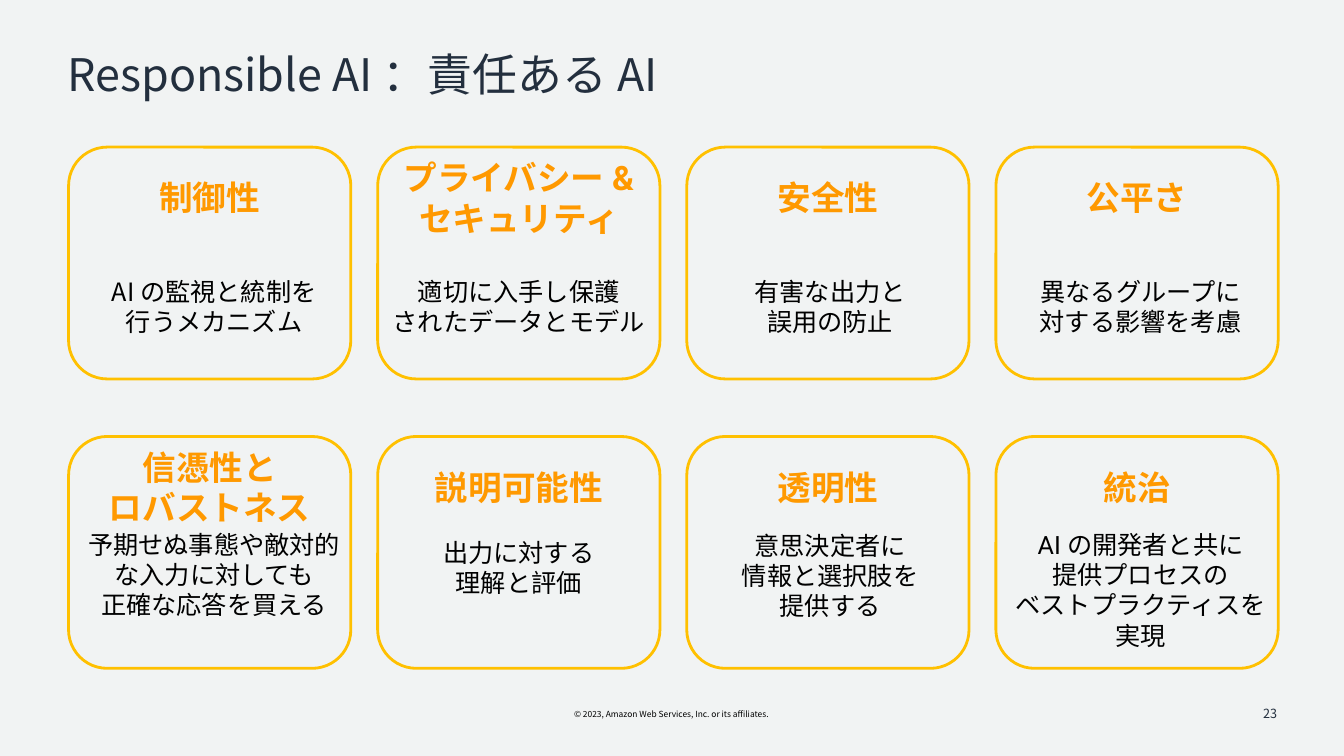
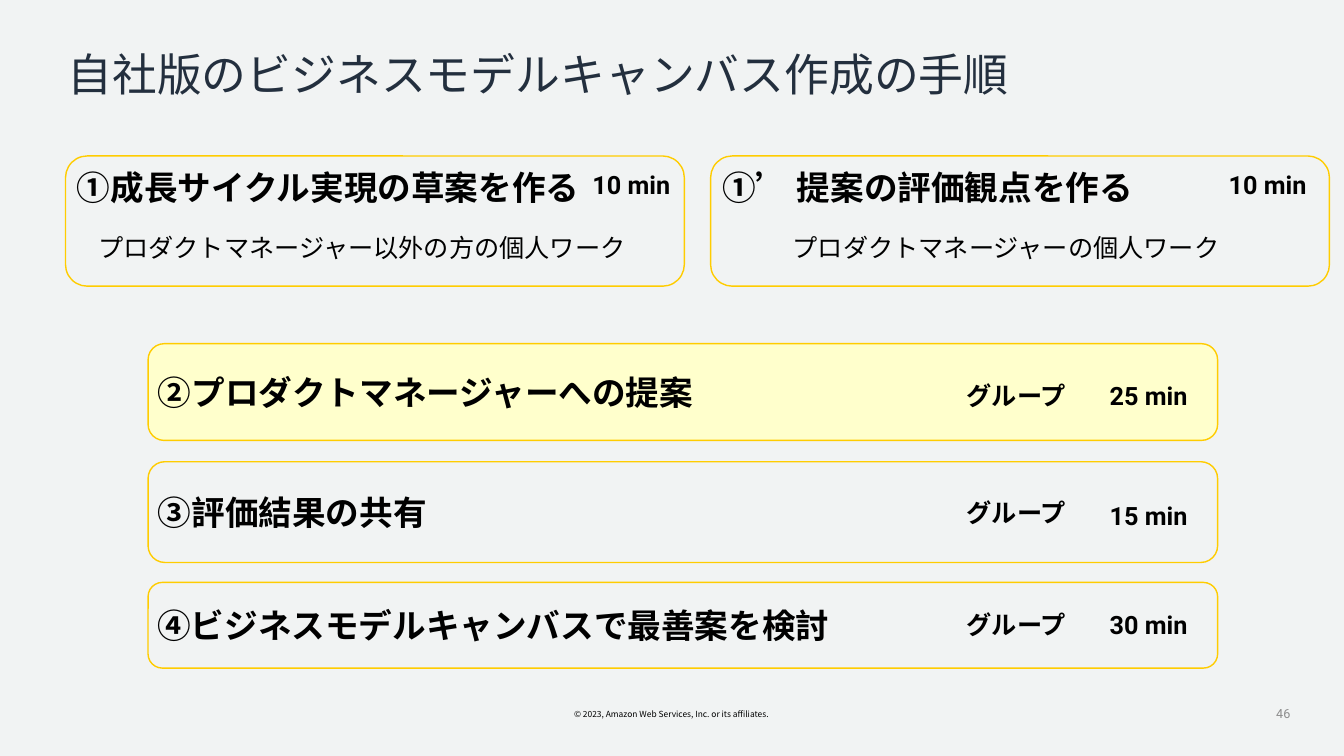
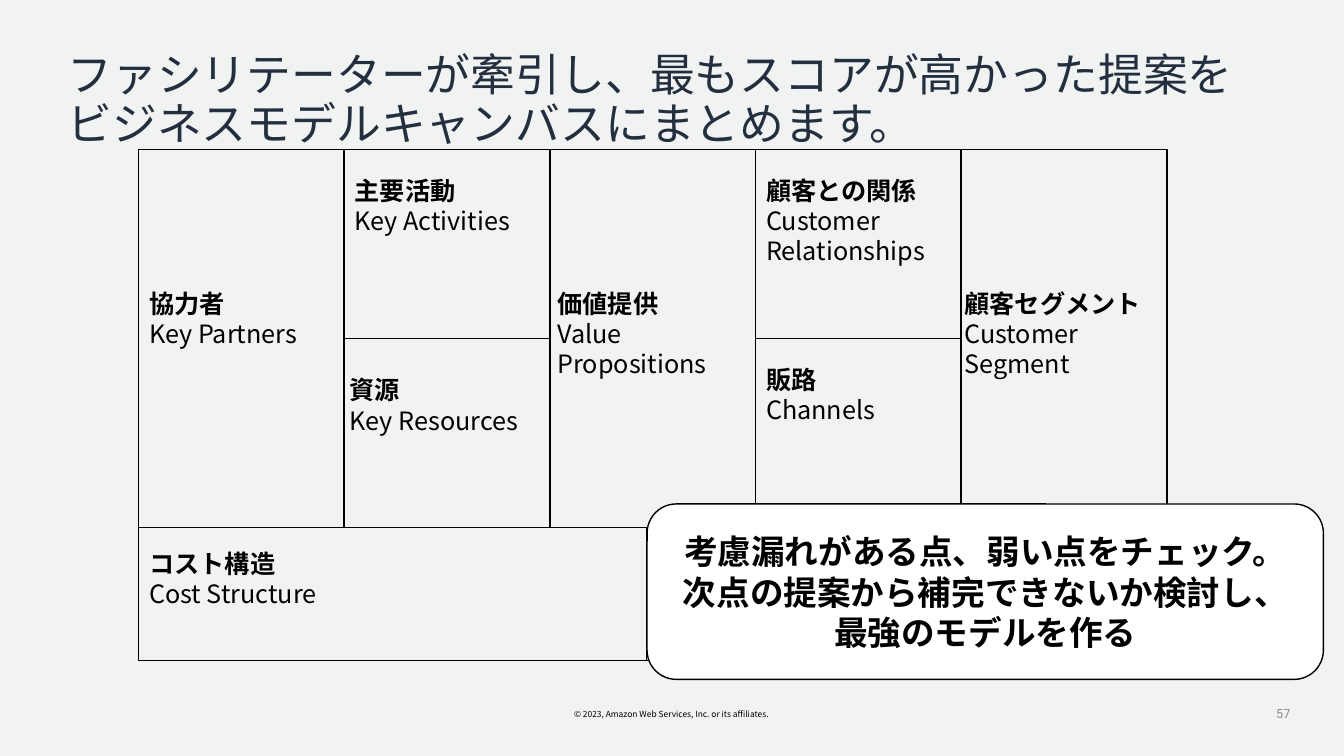
from dataclasses import dataclass
from itertools import product
from typing import Optional

from lxml import etree
from pptx import Presentation
from pptx.dml.color import RGBColor
from pptx.enum.shapes import MSO_SHAPE
from pptx.enum.text import MSO_ANCHOR, MSO_AUTO_SIZE, PP_ALIGN
from pptx.oxml.ns import qn
from pptx.util import Pt

LEFT, CENTER, RIGHT = PP_ALIGN.LEFT, PP_ALIGN.CENTER, PP_ALIGN.RIGHT
TOP, MIDDLE = MSO_ANCHOR.TOP, MSO_ANCHOR.MIDDLE
RECT, ROUND = MSO_SHAPE.RECTANGLE, MSO_SHAPE.ROUNDED_RECTANGLE

NOTO = "Noto Sans CJK JP"
ROBOTO = "Roboto"
COLORS = {
    "paper": "F1F3F3",
    "navy": "232F3E",
    "black": "000000",
    "white": "FFFFFF",
    "gray": "8C8C8C",
    "orange": "FF9900",
    "amber": "FFC000",
    "yellow": "FFCC00",
    "cream": "FFFFCC",
}
COPYRIGHT = "© 2023, Amazon Web Services, Inc. or its affiliates."


@dataclass(frozen=True)
class Box:
    x: float
    y: float
    w: float
    h: float

    def lengths(self) -> tuple:
        return Pt(self.x), Pt(self.y), Pt(self.w), Pt(self.h)


@dataclass(frozen=True)
class Style:
    size: float = 18
    color: str = "black"
    bold: bool = False
    align: PP_ALIGN = LEFT
    anchor: MSO_ANCHOR = TOP
    font: str = NOTO
    inset_x: float = 0
    inset_y: float = 3.6
    leading: float = 1.2
    wrap: bool = True
    bold_lead: bool = False


TITLE = Style(32, "navy", leading=1.09)
FOOTER = Style(6, align=CENTER, inset_x=7.2, wrap=False)
PAGE_DARK = Style(9, "navy", align=RIGHT, anchor=MIDDLE, inset_x=7.2)
PAGE_GRAY = Style(9, "gray", align=RIGHT, anchor=MIDDLE, inset_x=7.2, font=ROBOTO)
HEADING = Style(24, "orange", True, CENTER, MIDDLE, ROBOTO, inset_y=0)
BODY = Style(align=CENTER)
BODY_ROBOTO = Style(align=CENTER, font=ROBOTO)
STEP_TOP = Style(24, bold=True, inset_x=3.6)
STEP = Style(24, bold=True, anchor=MIDDLE, inset_x=3.6)
GROUP = Style(bold=True, align=CENTER)
TIME = Style(bold=True, align=CENTER, font=ROBOTO)
BLOCK = Style(bold_lead=True)
CALLOUT = Style(24, bold=True, align=CENTER, anchor=MIDDLE, font=ROBOTO, inset_x=3.6)


@dataclass(frozen=True)
class Card:
    heading: str
    body: str
    y: float
    style: Style = BODY


@dataclass(frozen=True)
class Step:
    text: str
    y: float
    h: float
    group_y: float
    time: str
    time_y: float
    fill: Optional[str] = None


@dataclass(frozen=True)
class Draft:
    text: str
    note: str
    x: float
    note_x: float
    time_x: float


@dataclass(frozen=True)
class Block:
    text: str
    cell: Box
    x: float
    y: float


def rgb(name: str) -> RGBColor:
    return RGBColor.from_string(COLORS[name])


def write(sp, text: str, style: Style) -> None:
    tf = sp.text_frame
    tf.text = text
    tf.word_wrap = style.wrap
    tf.auto_size = MSO_AUTO_SIZE.NONE
    tf.vertical_anchor = style.anchor
    tf.margin_left = tf.margin_right = Pt(style.inset_x)
    tf.margin_top = tf.margin_bottom = Pt(style.inset_y)
    for i, p in enumerate(tf.paragraphs):
        p.alignment = style.align
        p.line_spacing = Pt(round(style.size * style.leading, 1))
        p.space_before = p.space_after = Pt(0)
        for r in p.runs:
            r.font.size = Pt(style.size)
            r.font.bold = style.bold or (style.bold_lead and i == 0)
            r.font.color.rgb = rgb(style.color)
            r.font.name = style.font
            ea = etree.SubElement(r.font._element, qn("a:ea"))
            ea.set("typeface", NOTO)


def add_text(slide, box: Box, text: str, style: Style) -> None:
    write(slide.shapes.add_textbox(*box.lengths()), text, style)


def add_panel(slide, kind: MSO_SHAPE, box: Box, line: str, width: float = 1,
              fill: Optional[str] = None, text: str = "", style: Style = STEP) -> None:
    sp = slide.shapes.add_shape(kind, *box.lengths())
    sp.shadow.inherit = False
    sp.line.color.rgb = rgb(line)
    sp.line.width = Pt(width)
    if fill:
        sp.fill.solid()
        sp.fill.fore_color.rgb = rgb(fill)
    else:
        sp.fill.background()
    if text:
        write(sp, text, style)


def new_slide(prs, title: str, number: int, title_h: float = 43.2,
              page_right: float = 928.8, page_style: Style = PAGE_GRAY):
    slide = prs.slides.add_slide(prs.slide_layouts[5])
    sp = slide.shapes.title
    sp.left, sp.top, sp.width, sp.height = Box(48.2, 33.1, 862.6, title_h).lengths()
    write(sp, title, TITLE)
    add_text(slide, Box(395.3, 503.3, 168.5, 14.4), COPYRIGHT, FOOTER)
    add_text(slide, Box(page_right - 185, 495.4, 185, 28.8), str(number), page_style)
    return slide


def responsible_ai(prs) -> None:
    slide = new_slide(prs, "Responsible AI ：責任ある AI", 23,
                      page_right=919.4, page_style=PAGE_DARK)
    cards = [
        Card("制御性", "AI の監視と統制を\v行うメカニズム", 193.7),
        Card("プライバシー &\nセキュリティ", "適切に入手し保護\nされたデータとモデル", 193.7),
        Card("安全性", "有害な出力と\n誤用の防止", 193.7, BODY_ROBOTO),
        Card("公平さ", "異なるグループに\n対する影響を考慮", 193.7, BODY_ROBOTO),
        Card("信憑性と\nロバストネス", "予期せぬ事態や敵対的な入力に対しても\n正確な応答を買える", 374.4),
        Card("説明可能性", "出力に対する\n理解と評価", 380.2),
        Card("透明性", "意思決定者に\n情報と選択肢を\n提供する", 375.1, BODY_ROBOTO),
        Card("統治", "AI の開発者と共に\n提供プロセスの\nベストプラクティスを実現", 374.4, BODY_ROBOTO),
    ]
    body_x = [54.7, 272.2, 494.6, 716.4]
    for card, (row, col) in zip(cards, product(range(2), range(4))):
        x, y = 49 + 220.8 * col, 105.1 + 206.7 * row
        add_text(slide, Box(x, y, 201.6, 72), card.heading, HEADING)
        add_panel(slide, ROUND, Box(x, y, 201.6, 165.6), "amber", 2)
        lines = card.body.count("\n") + card.body.count("\v") + 1
        add_text(slide, Box(body_x[col], card.y, 196.6, 7.2 + 21.6 * lines),
                 card.body, card.style)


def canvas_steps(prs) -> None:
    slide = new_slide(prs, "自社版のビジネスモデルキャンバス作成の手順", 46)
    drafts = [
        Draft("①成長サイクル実現の草案を作る", "プロダクトマネージャー以外の方の個人ワーク",
              46.8, 48.2, 401),
        Draft("①’ 提案の評価観点を作る", "プロダクトマネージャーの個人ワーク",
              507.6, 508.3, 855.4),
    ]
    steps = [
        Step("②プロダクトマネージャーへの提案", 245.5, 69.1, 267.8, "25 min", 267.8, "cream"),
        Step("③評価結果の共有", 329.8, 72, 351.4, "15 min", 354.2),
        Step("④ビジネスモデルキャンバスで最善案を検討", 416, 61.2, 432, "30 min", 432),
    ]
    for d in drafts:
        add_panel(slide, ROUND, Box(d.x, 111.4, 442, 93), "yellow", text=d.text, style=STEP_TOP)
        add_text(slide, Box(d.note_x, 162.7, 420.5, 28.8), d.note, BODY)
        add_text(slide, Box(d.time_x, 117.4, 100, 28.8), "10 min", TIME)
    for s in steps:
        add_panel(slide, ROUND, Box(105.8, s.y, 764, s.h), "yellow", fill=s.fill, text=s.text)
        add_text(slide, Box(676, s.group_y, 100, 28.8), "グループ", GROUP)
        add_text(slide, Box(770.4, s.time_y, 100, 28.8), s.time, TIME)


def business_canvas(prs) -> None:
    slide = new_slide(
        prs, "ファシリテーターが牽引し、最もスコアが高かった提案をビジネスモデルキャンバスにまとめます。",
        57, title_h=77.8)
    left, top, col_w, half, base_h, cost_w = 99, 106.6, 146.9, 135, 95, 363
    cols = [left + col_w * i for i in range(5)]
    mid, base = top + half, top + 2 * half

    def cell(col: int, y: float = top, h: float = 2 * half) -> Box:
        return Box(cols[col], y, col_w, h)

    blocks = [
        Block("協力者\nKey Partners", cell(0), 106.6, 202.3),
        Block("主要活動\nKey Activities", cell(1, top, half), 253.4, 121.7),
        Block("資源\nKey Resources", cell(1, mid, half), 249.8, 264.2),
        Block("価値提供\nValue\nPropositions", cell(2), 398.2, 202.3),
        Block("顧客との関係\nCustomer\nRelationships", cell(3, top, half), 547.2, 121.7),
        Block("販路\nChannels", cell(3, mid, half), 547.2, 256.6),
        Block("顧客セグメント\nCustomer\nSegment", cell(4), 689, 202.3),
        Block("コスト構造\nCost Structure", Box(left, base, cost_w, base_h), 106.6, 388.1),
    ]
    for b in blocks:
        add_panel(slide, RECT, b.cell, "black")
        lines = b.text.count("\n") + 1
        add_text(slide, Box(b.x, b.y, 147, 7.2 + 21.6 * lines), b.text, BLOCK)
    add_panel(slide, RECT, Box(left + cost_w, base, 5 * col_w - cost_w, base_h), "black")
    add_panel(slide, ROUND, Box(462.2, 360, 483.1, 125.3), "black", fill="white",
              text="考慮漏れがある点、弱い点をチェック。\n次点の提案から補完できないか検討し、\n最強のモデルを作る",
              style=CALLOUT)


def main() -> None:
    prs = Presentation()
    prs.slide_width, prs.slide_height = Pt(960), Pt(540)
    bg = prs.slide_master.background.fill
    bg.solid()
    bg.fore_color.rgb = rgb("paper")
    responsible_ai(prs)
    canvas_steps(prs)
    business_canvas(prs)
    prs.save("out.pptx")


if __name__ == "__main__":
    main()
